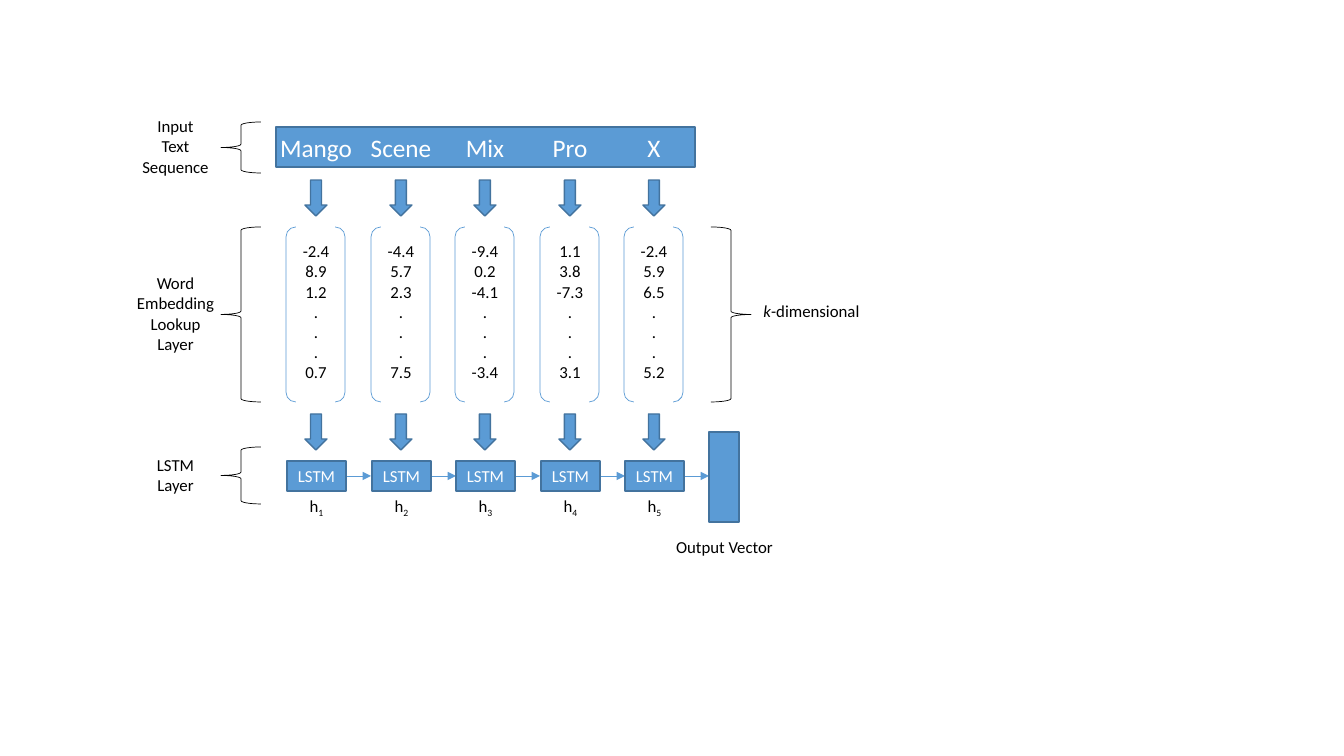
import pptx
import pptx.dml.color
import pptx.enum.shapes
import pptx.enum.text
import pptx.oxml
import pptx.oxml.ns
import pptx.util

SHAPE = pptx.enum.shapes.MSO_SHAPE
BLUE, EDGE, BLACK, WHITE = "5B9BD5", "43739E", "000000", "FFFFFF"
FONT = "Calibri"
COLUMNS = [
    ("Mango", ["-2.4", "8.9", "1.2", ".", ".", ".", "0.7"]),
    ("Scene", ["-4.4", "5.7", "2.3", ".", ".", ".", "7.5"]),
    ("Mix", ["-9.4", "0.2", "-4.1", ".", ".", ".", "-3.4"]),
    ("Pro", ["1.1", "3.8", "-7.3", ".", ".", ".", "3.1"]),
    ("X", ["-2.4", "5.9", "6.5", ".", ".", ".", "5.2"]),
]
FIRST_CENTER, PITCH = 316, 84.6
VECTOR_TOP, VECTOR_H = 227, 175
CELL_TOP, CELL_W, CELL_H = 461, 59, 30


def px(n):
    return pptx.util.Emu(round(n * 914400 / 100.8))


def rgb(color):
    return pptx.dml.color.RGBColor.from_string(color)


def add_run(p, text, color=BLACK, size=12, italic=False, subscript=False):
    r = p.add_run()
    r.text = text
    r.font.name = FONT
    r.font.size = pptx.util.Pt(size)
    r.font.italic = italic
    r.font.color.rgb = rgb(color)
    if subscript:
        r.font._element.set("baseline", "-25000")


def center_paragraphs(tf, count):
    ps = [tf.paragraphs[0]] + [tf.add_paragraph() for _ in range(count - 1)]
    for p in ps:
        p.alignment = pptx.enum.text.PP_ALIGN.CENTER
    return ps


def add_box(s, x, y, w, h):
    tf = s.shapes.add_textbox(px(x), px(y), px(w), px(h)).text_frame
    tf.word_wrap = True
    return tf


def add_text(s, x, y, w, h, lines, **style):
    tf = add_box(s, x, y, w, h)
    for p, line in zip(center_paragraphs(tf, len(lines)), lines):
        add_run(p, line, **style)


def add_two_runs(s, x, y, w, first, second, italic=False, subscript=False):
    p = center_paragraphs(add_box(s, x, y, w, 30), 1)[0]
    add_run(p, first, italic=italic)
    add_run(p, second, subscript=subscript)


def add_shape(s, kind, x, y, w, h, line, weight, fill=None):
    sp = s.shapes.add_shape(kind, px(x), px(y), px(w), px(h))
    sp.shadow.inherit = False
    sp.line.color.rgb = rgb(line)
    sp.line.width = pptx.util.Pt(weight)
    if fill:
        sp.fill.solid()
        sp.fill.fore_color.rgb = rgb(fill)
    else:
        sp.fill.background()
    return sp


def add_block(s, kind, x, y, w, h):
    return add_shape(s, kind, x, y, w, h, EDGE, 1, BLUE)


def add_brace(s, kind, x, y, h):
    sp = add_shape(s, kind, x, y, 40, h, BLACK, 0.5)
    sp.adjustments[0] = 0.083


def add_cell(s, center):
    sp = add_block(s, SHAPE.RECTANGLE, center - CELL_W // 2, CELL_TOP, CELL_W, CELL_H)
    tf = sp.text_frame
    tf.word_wrap = False
    add_run(center_paragraphs(tf, 1)[0], "LSTM", WHITE)


def add_arrow(s, x, y, length):
    kind = pptx.enum.shapes.MSO_CONNECTOR.STRAIGHT
    c = s.shapes.add_connector(kind, px(x), px(y), px(x + length), px(y))
    c.line.color.rgb = rgb(BLUE)
    c.line.width = pptx.util.Pt(0.5)
    ln = c.line._get_or_add_ln()
    pptx.oxml.ns.qn("a:tailEnd")
    ln.append(pptx.oxml.parse_xml(
        f'<a:tailEnd {pptx.oxml.ns.nsdecls("a")} type="triangle"/>'))
    c._element.spPr.append(pptx.oxml.parse_xml(
        f'<a:effectLst {pptx.oxml.ns.nsdecls("a")}/>'))


def add_column(s, i, word, values):
    center = round(FIRST_CENTER + i * PITCH)
    add_text(s, center - 54, 127, 108, 40, [word], color=WHITE, size=18)
    for top in (180, 414):
        add_block(s, SHAPE.DOWN_ARROW, center - 11, top, 22, 36)
    add_shape(s, SHAPE.DOUBLE_BRACKET, center - 30, VECTOR_TOP, 59, VECTOR_H, BLUE, 0.5)
    add_text(s, center - 26, 236, 52, 152, values)
    add_cell(s, center)
    add_two_runs(s, center - 33, 491, 67, "h", str(i + 1), subscript=True)
    add_arrow(s, center + 31, CELL_TOP + CELL_H // 2, 24)


def add_input_label(s):
    ps = center_paragraphs(add_box(s, 125, 111, 101, 71), 2)
    add_run(ps[0], "Input")
    add_run(ps[1], "Text")
    ps[1].add_line_break()
    add_run(ps[1], "Sequence")


def main():
    prs = pptx.Presentation()
    prs.slide_width, prs.slide_height = px(1344), px(756)
    s = prs.slides.add_slide(prs.slide_layouts[6])

    add_block(s, SHAPE.RECTANGLE, 276, 127, 419, 40)
    for i, (word, values) in enumerate(COLUMNS):
        add_column(s, i, word, values)

    for top, height in ((122, 51), (VECTOR_TOP, VECTOR_H), (447, 57)):
        add_brace(s, SHAPE.LEFT_BRACE, 221, top, height)
    add_input_label(s)
    add_text(s, 125, 268, 101, 92, ["Word Embedding Lookup Layer"])
    add_text(s, 125, 450, 101, 50, ["LSTM", "Layer"])

    add_brace(s, SHAPE.RIGHT_BRACE, 711, VECTOR_TOP, VECTOR_H)
    add_two_runs(s, 751, 296, 121, "k", "-dimensional", italic=True)
    add_block(s, SHAPE.RECTANGLE, 709, 432, 30, 90)
    add_text(s, 664, 532, 121, 30, ["Output Vector"])
    prs.save("out.pptx")


main()
